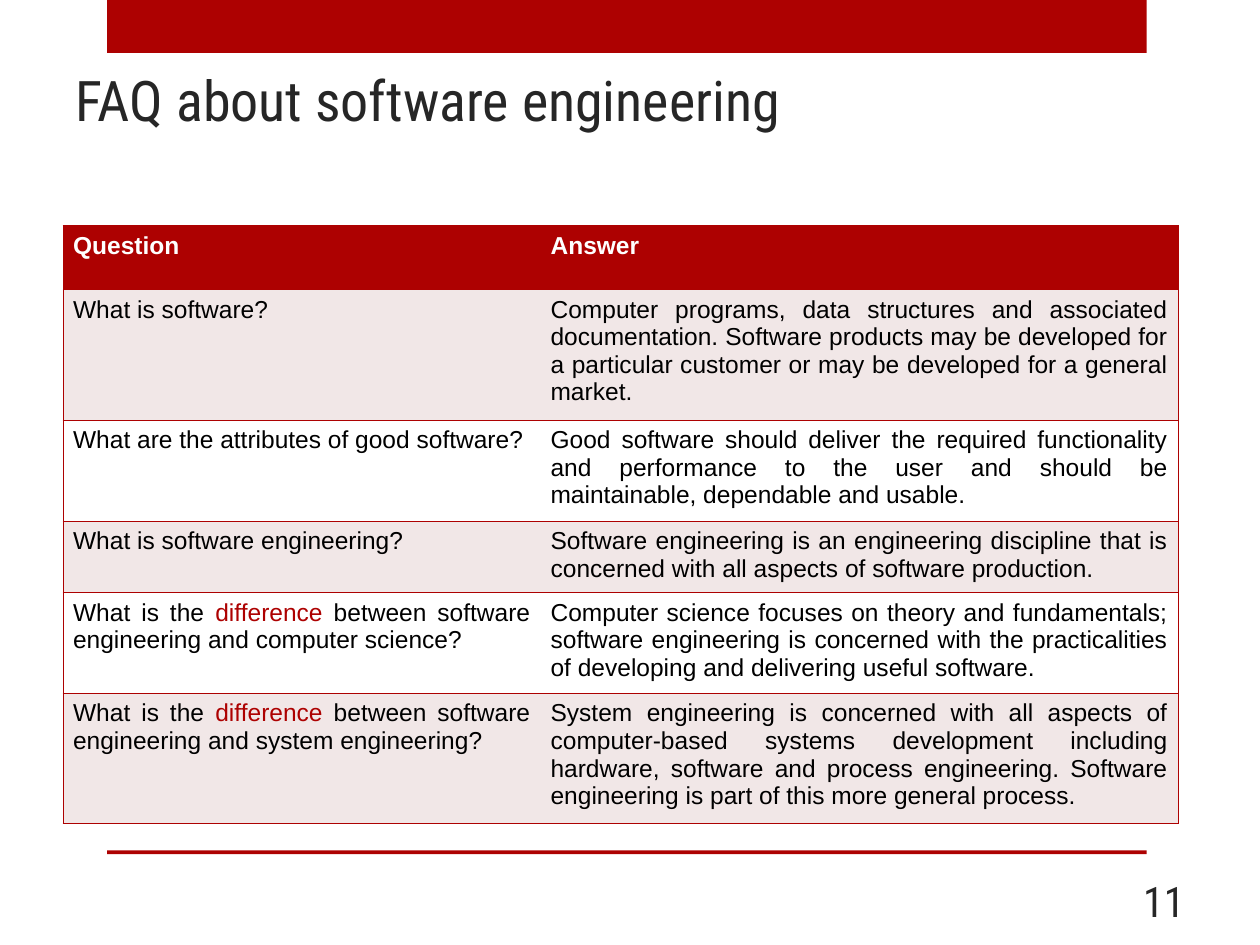
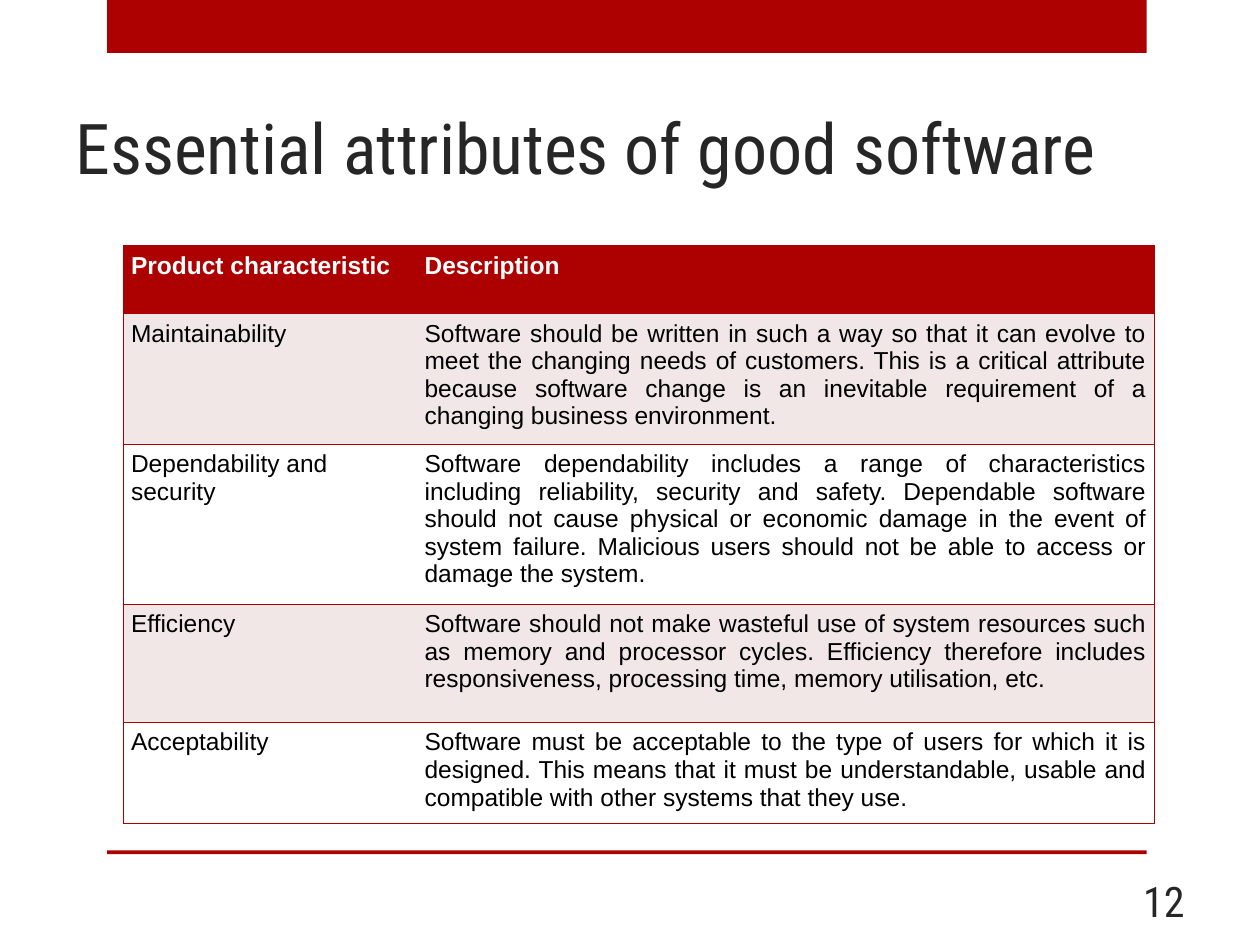
from lxml import etree
from pptx import Presentation
from pptx.dml.color import RGBColor
from pptx.enum.shapes import MSO_SHAPE
from pptx.enum.text import MSO_ANCHOR, PP_ALIGN
from pptx.oxml.ns import qn
from pptx.util import Inches, Pt

RECTANGLE = MSO_SHAPE.RECTANGLE
TOP, MIDDLE, BOTTOM = MSO_ANCHOR.TOP, MSO_ANCHOR.MIDDLE, MSO_ANCHOR.BOTTOM
LEFT, RIGHT, JUSTIFY = PP_ALIGN.LEFT, PP_ALIGN.RIGHT, PP_ALIGN.JUSTIFY

COLORS = {"red": "AD0101", "tint": "F1E7E7", "white": "FFFFFF",
          "ink": "262626", "black": "000000"}
HEAD_FONT, TABLE_FONT = "Roboto Condensed", "Arial"
BORDER_WIDTH = Pt(0.45)

# Content: words between asterisks are highlighted
SLIDES = [
    {
        "title": "FAQ about software engineering",
        "title_box": (0.5, 0.5, 9.08, 1.09), "title_size": 32, "title_anchor": TOP,
        "number": 11,
        "origin": (0.5, 1.79), "columns": (3.79, 5.06), "side_inset": 0.08,
        "heights": (0.51, 1.01, 0.78, 0.54, 0.78, 1.01),
        "left_aligned": (),
        "rows": [
            ("Question", "Answer"),
            ("What is software?",
             "Computer programs, data structures and associated documentation. "
             "Software products may be developed for a particular customer or may be "
             "developed for a general market."),
            ("What are the attributes of good software?",
             "Good software should deliver the required functionality and performance "
             "to the user and should be maintainable, dependable and usable."),
            ("What is software engineering?",
             "Software engineering is an engineering discipline that is concerned with "
             "all aspects of software production."),
            ("What is the *difference* between software engineering and computer science?",
             "Computer science focuses on theory and fundamentals; software engineering "
             "is concerned with the practicalities of developing and delivering useful "
             "software."),
            ("What is the *difference* between software engineering and system engineering?",
             "System engineering is concerned with all aspects of computer-based systems "
             "development including hardware, software and process engineering. Software "
             "engineering is part of this more general process."),
        ],
    },
    {
        "title": "Essential attributes of good software",
        "title_box": (0.5, 0.3, 8.75, 1.25), "title_size": 40, "title_anchor": BOTTOM,
        "number": 12,
        "origin": (0.98, 1.95), "columns": (2.33, 5.85), "side_inset": 0.06,
        "heights": (0.54, 1.03, 1.27, 0.94, 0.8),
        "left_aligned": ("Dependability and security",),
        "rows": [
            ("Product characteristic", "Description"),
            ("Maintainability",
             "Software should be written in such a way so that it can evolve to meet the "
             "changing needs of customers. This is a critical attribute because software "
             "change is an inevitable requirement of a changing business environment."),
            ("Dependability and security",
             "Software dependability includes a range of characteristics including "
             "reliability, security and safety. Dependable software should not cause "
             "physical or economic damage in the event of system failure. Malicious users "
             "should not be able to access or damage the system."),
            ("Efficiency",
             "Software should not make wasteful use of system resources such as memory "
             "and processor cycles. Efficiency therefore includes responsiveness, "
             "processing time, memory utilisation, etc."),
            ("Acceptability",
             "Software must be acceptable to the type of users for which it is designed. "
             "This means that it must be understandable, usable and compatible with other "
             "systems that they use."),
        ],
    },
]

# Shared frame: top band and footer rule
BANDS = [(0.85, 0, 8.25, 0.42), (0.85, 6.75, 8.25, 0.03)]
NUMBER_BOX = (7.17, 6.95, 2.33, 0.4)


def rgb(name):
    return RGBColor.from_string(COLORS[name])


def inches(lengths):
    return [Inches(length) for length in lengths]


def style(paragraph, font_name, size, color, align, bold=False):
    paragraph.alignment = align
    font = paragraph.font
    font.name, font.size, font.bold = font_name, Pt(size), bold
    font.color.rgb = rgb(color)


def add_bands(slide, layout):
    """Draw the bands and move them behind everything on the layout."""
    for box in BANDS:
        band = slide.shapes.add_shape(RECTANGLE, *inches(box))
        band.shadow.inherit = False
        band.fill.solid()
        band.fill.fore_color.rgb = rgb("red")
        band.line.fill.background()
        layout.shapes.element.insert(2, band.element)


def set_title(slide, content):
    title = slide.shapes.title
    title.left, title.top, title.width, title.height = inches(content["title_box"])
    frame = title.text_frame
    frame.text = content["title"]
    frame.vertical_anchor = content["title_anchor"]
    frame.margin_top = Inches(0.02)
    style(frame.paragraphs[0], HEAD_FONT, content["title_size"], "ink", LEFT)


def add_number(slide, number):
    frame = slide.shapes.add_textbox(*inches(NUMBER_BOX)).text_frame
    frame.word_wrap = True
    frame.vertical_anchor = MIDDLE
    frame.text = str(number)
    style(frame.paragraphs[0], HEAD_FONT, 24, "ink", RIGHT)


def set_borders(cell, hidden_side):
    """Rule every side of the cell but the one facing the other column."""
    properties = cell._tc.get_or_add_tcPr()
    for position, side in enumerate(("lnL", "lnR", "lnT", "lnB")):
        line = etree.Element(qn(f"a:{side}"), w=str(int(BORDER_WIDTH)))
        if side == hidden_side:
            etree.SubElement(line, qn("a:noFill"))
        else:
            fill = etree.SubElement(line, qn("a:solidFill"))
            etree.SubElement(fill, qn("a:srgbClr"), val=COLORS["red"])
        properties.insert(position, line)


def fill_cell(cell, text, row, content):
    header = row == 0
    cell.fill.solid()
    cell.fill.fore_color.rgb = rgb("red" if header else "tint" if row % 2 else "white")
    cell.margin_left = cell.margin_right = Inches(content["side_inset"])
    cell.vertical_anchor = TOP
    paragraph = cell.text_frame.paragraphs[0]
    style(paragraph, TABLE_FONT, 14, "white" if header else "black",
          LEFT if text in content["left_aligned"] else JUSTIFY, bold=header)
    for part, words in enumerate(text.split("*")):
        run = paragraph.add_run()
        run.text = words
        if part % 2:
            run.font.color.rgb = rgb("red")


def add_grid(slide, content):
    rows, columns, heights = content["rows"], content["columns"], content["heights"]
    grid = slide.shapes.add_table(
        len(rows), len(columns), *inches(content["origin"]),
        Inches(sum(columns)), Inches(sum(heights))).table
    for column, width in zip(grid.columns, columns):
        column.width = Inches(width)
    for row, (texts, height) in enumerate(zip(rows, heights)):
        grid.rows[row].height = Inches(height)
        for column, (text, hidden_side) in enumerate(zip(texts, ("lnR", "lnL"))):
            cell = grid.cell(row, column)
            fill_cell(cell, text, row, content)
            set_borders(cell, hidden_side)


def main():
    deck = Presentation()
    deck.slide_width, deck.slide_height = inches((10, 7.5))
    layout = deck.slide_layouts[5]
    for index, content in enumerate(SLIDES):
        slide = deck.slides.add_slide(layout)
        if index == 0:
            add_bands(slide, layout)
        set_title(slide, content)
        add_number(slide, content["number"])
        add_grid(slide, content)
    deck.save("out.pptx")


if __name__ == "__main__":
    main()
